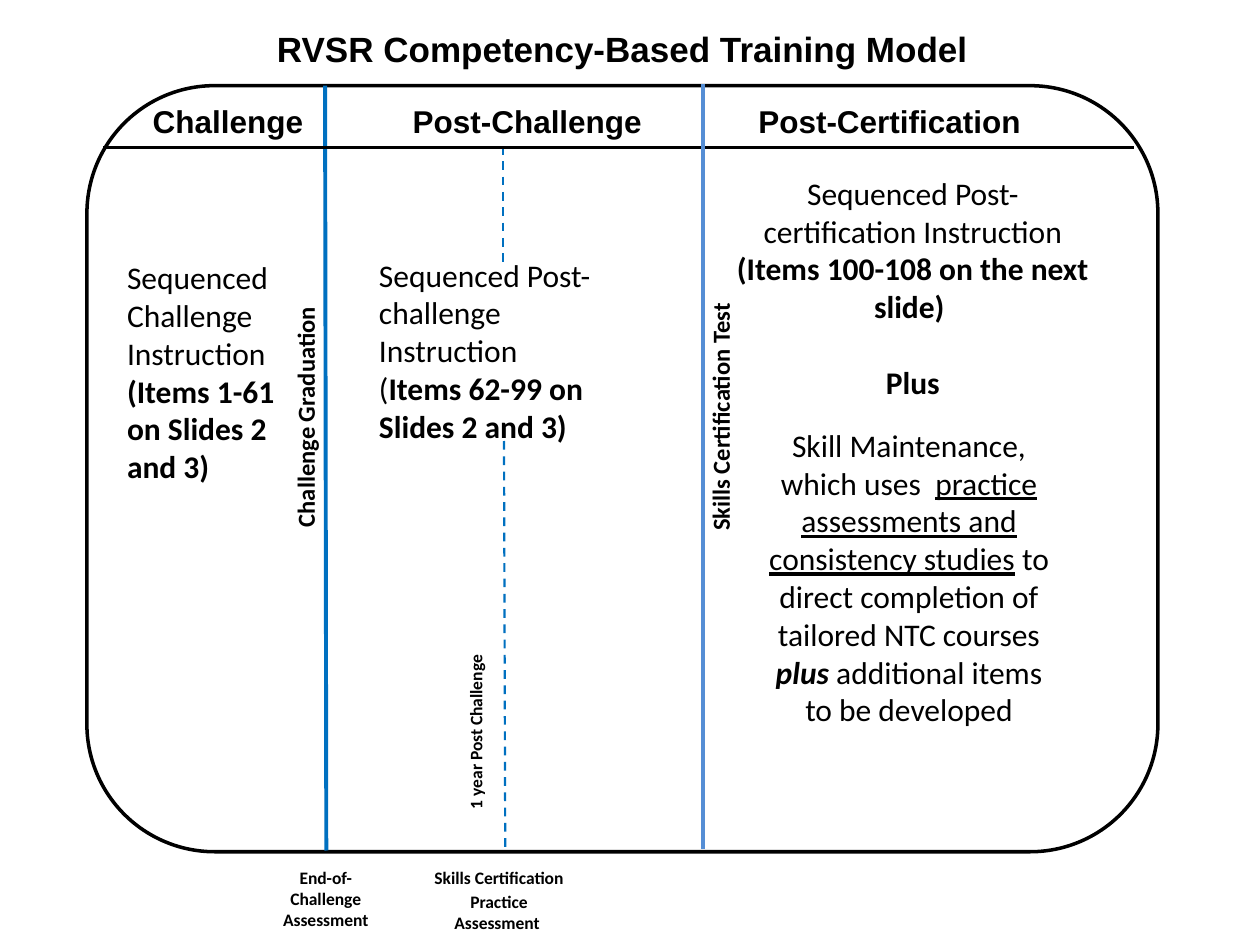
from dataclasses import dataclass

from lxml import etree
from pptx import Presentation
from pptx import util as u
from pptx.dml.color import RGBColor
from pptx.enum import dml, shapes, text
from pptx.oxml.ns import qn

SCALE = 9144
COLORS = {"ink": "000000", "paper": "FFFFFF", "blue": "0070C0", "pale": "558ED5"}
MID = text.PP_ALIGN.CENTER
LEFT = text.PP_ALIGN.LEFT
PLAIN, BOLD = {}, {"bold": True}
LINED = {"underline": True}
SLANT = {"bold": True, "italic": True}


@dataclass(frozen=True)
class Rule:
    start: tuple[int, int]
    end: tuple[int, int]
    color: str
    weight: float
    dashed: bool = False


@dataclass(frozen=True)
class Label:
    box: tuple[int, int, int, int]
    paras: list
    size: int
    font: str = "Calibri"
    align: text.PP_ALIGN = MID
    turn: int = 0
    gap: int = 0


def px(*nums: int) -> list[u.Emu]:
    return [u.Emu(n * SCALE) for n in nums]


def rgb(name: str) -> RGBColor:
    return RGBColor.from_string(COLORS[name])


def apply(target, values: dict) -> None:
    for key, value in values.items():
        setattr(target, key, value)


def draw_frame(slide, box: tuple[int, int, int, int]) -> None:
    frame = slide.shapes.add_shape(shapes.MSO_SHAPE.ROUNDED_RECTANGLE, *px(*box))
    frame.shadow.inherit = False
    frame.fill.solid()
    frame.fill.fore_color.rgb = rgb("paper")
    frame.line.color.rgb = rgb("ink")
    frame.line.width = u.Pt(2)


def draw_rule(slide, rule: Rule) -> None:
    line = slide.shapes.add_connector(
        shapes.MSO_CONNECTOR.STRAIGHT, *px(*rule.start, *rule.end))
    line.line.color.rgb = rgb(rule.color)
    line.line.width = u.Pt(rule.weight)
    if rule.dashed:
        line.line.dash_style = dml.MSO_LINE.DASH
    etree.SubElement(line._element.spPr, qn("a:effectLst"))


def draw_label(slide, label: Label) -> None:
    box = slide.shapes.add_textbox(*px(*label.box))
    box.rotation = label.turn
    frame = box.text_frame
    apply(frame, {"word_wrap": True,
                  "auto_size": text.MSO_AUTO_SIZE.SHAPE_TO_FIT_TEXT})
    for i, runs in enumerate(label.paras):
        para = frame.add_paragraph() if i else frame.paragraphs[0]
        para.alignment = label.align
        if i:
            para.space_before = u.Pt(label.gap)
        for words, style in runs:
            run = para.add_run()
            run.text = words
            apply(run.font, {"name": label.font, "size": u.Pt(label.size), **style})
            run.font.color.rgb = rgb("ink")


RULES = [
    Rule((399, 116), (399, 210), "blue", 1.25, True),
    Rule((258, 68), (259, 675), "blue", 2.25),
    Rule((82, 117), (900, 117), "ink", 1.5),
    Rule((558, 67), (558, 674), "pale", 2),
    Rule((400, 350), (401, 674), "blue", 1.25, True),
]

LABELS = [
    Label((-6, 17, 1000, 44),
          [[("RVSR Competency-Based Training Model", BOLD)]], 20, "Arial"),
    Label((98, 76, 166, 40), [[("Challenge", BOLD)]], 18, "Arial"),
    Label((291, 76, 255, 40), [[("Post-Challenge", BOLD)]], 18, "Arial"),
    Label((519, 76, 381, 40), [[("Post-Certification ", BOLD)]], 18, "Arial"),
    Label((133, 314, 219, 34), [[("Challenge Graduation", BOLD)]], 14, turn=270),
    Label((470, 314, 204, 34), [[("Skills Certification Test", BOLD)]], 14, turn=270),
    Label((305, 566, 145, 27), [[("1 year Post Challenge", BOLD)]], 10,
          align=LEFT, turn=270),
    Label((91, 200, 161, 192),
          [[("Sequenced Challenge Instruction ", PLAIN),
            ("(Items 1-61 on Slides 2 and 3)", BOLD)]], 18, align=LEFT),
    Label((291, 198, 200, 162),
          [[("Sequenced Post-challenge Instruction (", PLAIN),
            ("Items 62-99 on Slides 2 and 3)", BOLD)]], 18, align=LEFT),
    Label((574, 133, 301, 192),
          [[("Sequenced Post-certification Instruction ", PLAIN),
            ("(Items 100-108 on the next slide) ", BOLD)],
           [("Plus", BOLD)]], 18, gap=22),
    Label((595, 333, 253, 310),
          [[("Skill Maintenance, which uses  ", PLAIN),
            ("practice assessments and consistency studies", LINED),
            (" to direct completion of tailored NTC courses ", PLAIN),
            ("plus ", SLANT),
            ("additional items to be developed", PLAIN)]], 18),
    Label((329, 683, 134, 64),
          [[("Skills Certification", BOLD)], [("Practice Assessment ", BOLD)]],
          10, gap=2),
    Label((207, 683, 103, 61), [[("End-of-Challenge Assessment", BOLD)]], 10),
]


def main() -> None:
    deck = Presentation()
    deck.slide_width, deck.slide_height = px(1000, 750)
    slide = deck.slides.add_slide(deck.slide_layouts[6])
    draw_frame(slide, (69, 68, 850, 608))
    for rule in RULES:
        draw_rule(slide, rule)
    for label in LABELS:
        draw_label(slide, label)
    deck.save("out.pptx")


if __name__ == "__main__":
    main()
